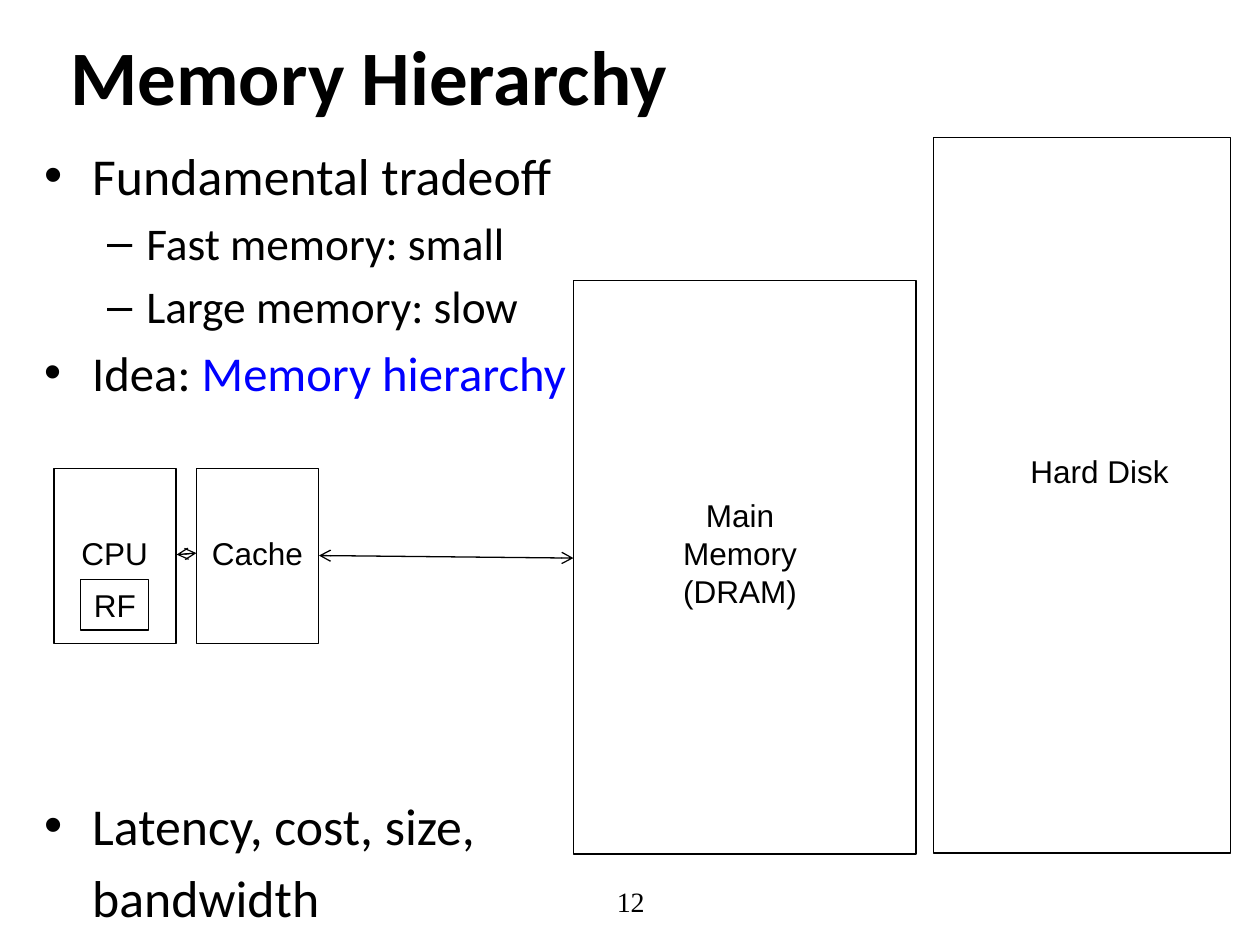
from lxml import etree
from pptx import Presentation
from pptx.dml.color import RGBColor
from pptx.enum.shapes import MSO_CONNECTOR as Connector, MSO_SHAPE as Shape
from pptx.enum.text import MSO_ANCHOR as Anchor, PP_ALIGN as Align
from pptx.oxml.ns import qn
from pptx.util import Cm, Pt

BLACK = RGBColor(0, 0, 0)
BLUE = RGBColor(0, 0, 255)
LINE_WIDTH = Pt(0.75)

# Paragraphs: level, bullet, size, runs of (text, colour)
TRADEOFF = [
    (0, "•", 29.6, [("Fundamental tradeoff", BLACK)]),
    (1, "–", 25.9, [("Fast memory: small", BLACK)]),
    (1, "–", 25.9, [("Large memory: slow", BLACK)]),
    (0, "•", 27.8, [("Idea: ", BLACK), ("Memory hierarchy", BLUE)]),
]
METRICS = [
    (0, "•", 29.6, [("Latency, cost, size,", BLACK)]),
    (0, None, 29.6, [("bandwidth", BLACK)]),
]
LEVEL_INDENTS = [(0.97, -0.97), (2.06, -0.79)]  # left margin, first line

# Boxes and label areas: left, top, width, height in cm
MEMORY_BOXES = [
    (1.09, 9.45, 2.46, 3.53),     # CPU
    (1.63, 11.68, 1.37, 1.02),    # register file
    (3.96, 9.45, 2.46, 3.53),     # cache
    (11.56, 5.66, 6.91, 11.56),   # main memory
    (18.82, 2.77, 5.99, 14.43),   # hard disk
]
LABELS = [
    (["CPU"], (1.37, 10.64, 1.88, 1.02)),
    (["RF"], (1.63, 11.68, 1.37, 1.02)),
    (["Cache"], (3.96, 10.64, 2.46, 1.02)),
    (["Main", "Memory", "(DRAM)"], (13.51, 9.88, 2.82, 3.33)),
    (["Hard Disk"], (20.5, 8.99, 3.33, 1.8)),
]
ARROWS = [(11.56, 11.25, 6.43, 11.2), (3.96, 11.15, 3.56, 11.18)]


def cm(values):
    return [Cm(value) for value in values]


def add_text(slide, area, lines, font_name, size, align=Align.LEFT,
             anchor=Anchor.TOP, bold=False, wrap=True):
    frame = slide.shapes.add_textbox(*cm(area)).text_frame
    frame.word_wrap = wrap
    frame.vertical_anchor = anchor
    frame.text = "\n".join(lines)
    for paragraph in frame.paragraphs:
        paragraph.alignment = align
        font = paragraph.font
        font.name, font.size, font.bold = font_name, Pt(size), bold
        font.color.rgb = BLACK


def set_bullet(paragraph, level, bullet):
    """Give the hanging indent of a level, and its bullet if there is one."""
    margin, first_line = LEVEL_INDENTS[level]
    properties = paragraph._p.get_or_add_pPr()
    properties.set("marL", str(Cm(margin)))
    properties.set("indent", str(Cm(first_line) if bullet else 0))
    if bullet:
        font = etree.Element(qn("a:buFont"), typeface="Arial")
        character = etree.Element(qn("a:buChar"), char=bullet)
        for position, element in enumerate((font, character)):
            # bullets come after spacing and before default run properties
            properties.insert(1 + position, element)


def add_bullets(slide, area, items):
    frame = slide.shapes.add_textbox(*cm(area)).text_frame
    frame.word_wrap = True
    for index, (level, bullet, size, runs) in enumerate(items):
        paragraph = frame.add_paragraph() if index else frame.paragraphs[0]
        paragraph.level = level
        paragraph.space_before = Pt(round(size * 0.2, 1) if index else 0)
        paragraph.font.name, paragraph.font.size = "Calibri", Pt(size)
        set_bullet(paragraph, level, bullet)
        for text, color in runs:
            run = paragraph.add_run()
            run.text = text
            run.font.color.rgb = color


def add_box(slide, area):
    box = slide.shapes.add_shape(Shape.RECTANGLE, *cm(area))
    box.shadow.inherit = False
    box.fill.background()
    box.line.color.rgb = BLACK
    box.line.width = LINE_WIDTH


def add_double_arrow(slide, ends):
    arrow = slide.shapes.add_connector(Connector.STRAIGHT, *cm(ends))
    arrow.line.color.rgb = BLACK
    arrow.line.width = LINE_WIDTH
    line = arrow.line._get_or_add_ln()
    for end in ("a:headEnd", "a:tailEnd"):
        etree.SubElement(line, qn(end), type="arrow")
    etree.SubElement(arrow._element.spPr, qn("a:effectLst"))


def main():
    presentation = Presentation()
    presentation.slide_width, presentation.slide_height = Cm(25.4), Cm(19.05)
    slide = presentation.slides.add_slide(presentation.slide_layouts[6])

    add_text(slide, (1.17, -0.08, 22.86, 3.18), ["Memory Hierarchy"],
             "Calibri", 44, anchor=Anchor.MIDDLE, bold=True)
    add_bullets(slide, (0.64, 2.77, 12, 6), TRADEOFF)
    add_bullets(slide, (0.64, 15.87, 10.8, 3.1), METRICS)
    add_text(slide, (8.69, 17.65, 8.05, 1.02), ["12"], "Times New Roman", 16,
             Align.CENTER, Anchor.MIDDLE)
    for area in MEMORY_BOXES:
        add_box(slide, area)
    for lines, area in LABELS:
        add_text(slide, area, lines, "Arial", 18, Align.CENTER, wrap=False)
    for ends in ARROWS:
        add_double_arrow(slide, ends)

    presentation.save("out.pptx")


if __name__ == "__main__":
    main()
